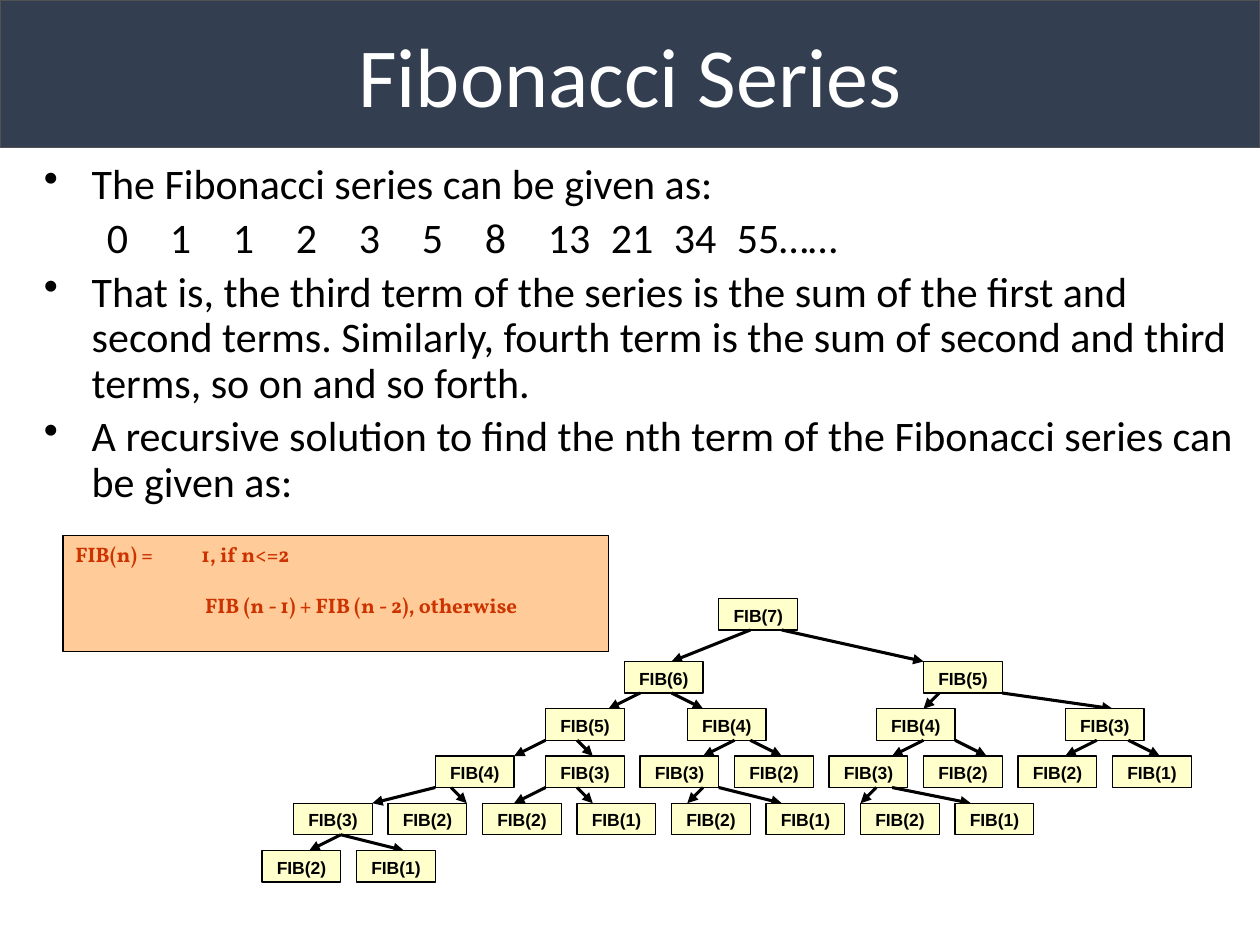
from lxml import etree
from pptx import Presentation
from pptx.dml.color import RGBColor
from pptx.enum import shapes, text
from pptx.oxml import ns
from pptx.util import Inches, Pt

NAVY = RGBColor(0x33, 0x3F, 0x50)
GRAY = RGBColor(0x52, 0x52, 0x52)
WHITE = RGBColor(0xFF, 0xFF, 0xFF)
BLACK = RGBColor(0x00, 0x00, 0x00)
PEACH = RGBColor(0xFF, 0xCC, 0x99)
RUST = RGBColor(0xCC, 0x33, 0x00)
CREAM = RGBColor(0xFF, 0xFF, 0xCC)


def add_run(paragraph, words, font_name, size, color, bold=False):
    run = paragraph.add_run()
    run.text = words
    run.font.name = font_name
    run.font.size = Pt(size)
    run.font.color.rgb = color
    run.font.bold = bold


def set_layout(paragraph, left=0, indent=0, bullet=None, tabs=()):
    properties = paragraph._p.get_or_add_pPr()
    properties.set("marL", str(Inches(left)))
    properties.set("indent", str(Inches(indent)))
    if bullet:
        etree.SubElement(properties, ns.qn("a:buChar"), char=bullet)
    else:
        etree.SubElement(properties, ns.qn("a:buNone"))
    if tabs:
        tab_list = etree.SubElement(properties, ns.qn("a:tabLst"))
        for tab in tabs:
            etree.SubElement(tab_list, ns.qn("a:tab"), pos=str(Inches(tab)), algn="l")


presentation = Presentation()
presentation.slide_width = Inches(10)
presentation.slide_height = Inches(7.5)
slide = presentation.slides.add_slide(presentation.slide_layouts[5])

# Title band
title = slide.shapes.title
title.left, title.top = Inches(0), Inches(0)
title.width, title.height = Inches(10), Inches(1.17)
title.fill.solid()
title.fill.fore_color.rgb = NAVY
title.line.color.rgb = GRAY
title.line.width = Pt(1)
title.text_frame.vertical_anchor = text.MSO_ANCHOR.MIDDLE
paragraph = title.text_frame.paragraphs[0]
paragraph.alignment = text.PP_ALIGN.CENTER
add_run(paragraph, "Fibonacci Series", "Calibri", 48, WHITE)

# Explanation, with the series set on tab stops
series = ["0", "1", "1", "2", "3", "5", "8", "13", "21", "34", "55……"]
series_tabs = [0.38, 0.7, 1.09, 1.48, 2.03, 2.43, 3.05, 3.44, 4.23, 4.94, 5.51]
lines = [
    "The Fibonacci series can be given as:",
    "\t" + "\t".join(series),
    "That is, the third term of the series is the sum of the first and second terms. "
    "Similarly, fourth term is the sum of second and third terms, so on and so forth.",
    "A recursive solution to find the nth term of the Fibonacci series can be given as:",
]
body = slide.shapes.add_textbox(Inches(0.25), Inches(1.25), Inches(9.67), Inches(2))
frame = body.text_frame
frame.word_wrap = True
for index, line in enumerate(lines):
    paragraph = frame.add_paragraph() if index else frame.paragraphs[0]
    if line.startswith("\t"):
        set_layout(paragraph, tabs=series_tabs)
    else:
        set_layout(paragraph, 0.38, -0.38, bullet="•")
    paragraph.line_spacing = 0.9
    if index:
        paragraph.space_before = Pt(4.8)
    add_run(paragraph, line, "Calibri", 24, BLACK)

# Recursive definition
formula = slide.shapes.add_shape(
    shapes.MSO_SHAPE.RECTANGLE, Inches(0.5), Inches(4.25), Inches(4.33), Inches(0.92))
formula.shadow.inherit = False
formula.fill.solid()
formula.fill.fore_color.rgb = PEACH
formula.line.color.rgb = BLACK
formula.line.width = Pt(0.75)
frame = formula.text_frame
frame.word_wrap = True
frame.vertical_anchor = text.MSO_ANCHOR.TOP
base_case = frame.paragraphs[0]
set_layout(base_case, tabs=[1.15])
add_run(base_case, "FIB(n) =\t1, if n<=2", "Vollkorn", 12, RUST, True)
recursive_case = frame.add_paragraph()
set_layout(recursive_case, left=1.03)
recursive_case.space_before = Pt(14.5)
add_run(recursive_case, "FIB (n - 1) + FIB (n - 2), otherwise", "Vollkorn", 12, RUST, True)
for paragraph in frame.paragraphs:
    paragraph.alignment = text.PP_ALIGN.LEFT

# Call tree on a grid of eighths of an inch, one list per level:
# (n, left column, arrow start column, arrow end column)
CELL = 0.125
TREE_LEFT = 2.08
NODE_WIDTH, NODE_HEIGHT = 5 * CELL, 2 * CELL
level_tops = [4.75, 5.25, 5.625, 6, 6.375, 6.75]
levels = [
    [(7, 29, None, None)],
    [(6, 23, 31, 26), (5, 42, 33, 42)],
    [(5, 18, 24, 22), (4, 27, 26, 28), (4, 39, 43, 42), (3, 51, 47, 54)],
    [(4, 11, 18, 16), (3, 18, 20, 21), (3, 24, 30, 28), (2, 30, 31, 33),
     (3, 36, 42, 40), (2, 42, 44, 46), (2, 48, 53, 51), (1, 54, 55, 57)],
    [(3, 2, 11, 7), (2, 8, 12, 13), (2, 14, 18, 16), (1, 20, 20, 21),
     (2, 26, 28, 27), (1, 32, 29, 33), (2, 38, 39, 38), (1, 44, 40, 45)],
    [(2, 0, 5, 3), (1, 6, 5, 9)],
]
tree = slide.shapes.add_group_shape()
for level, nodes in enumerate(levels):
    top = level_tops[level]
    for n, column, start, end in nodes:
        if level:
            parent_bottom = level_tops[level - 1] + NODE_HEIGHT
            arrow = tree.shapes.add_connector(
                shapes.MSO_CONNECTOR.STRAIGHT,
                Inches(TREE_LEFT + start * CELL), Inches(parent_bottom),
                Inches(TREE_LEFT + end * CELL), Inches(top))
            arrow.line.color.rgb = BLACK
            arrow.line.width = Pt(1.75)
            etree.SubElement(arrow.line._get_or_add_ln(), ns.qn("a:tailEnd"), type="triangle")
            etree.SubElement(arrow._element.spPr, ns.qn("a:effectLst"))
        node = tree.shapes.add_shape(
            shapes.MSO_SHAPE.RECTANGLE, Inches(TREE_LEFT + column * CELL), Inches(top),
            Inches(NODE_WIDTH), Inches(NODE_HEIGHT))
        node.shadow.inherit = False
        node.fill.solid()
        node.fill.fore_color.rgb = CREAM
        node.line.color.rgb = BLACK
        node.line.width = Pt(0.75)
        node.text_frame.word_wrap = False
        node.text_frame.vertical_anchor = text.MSO_ANCHOR.TOP
        paragraph = node.text_frame.paragraphs[0]
        paragraph.alignment = text.PP_ALIGN.CENTER
        add_run(paragraph, f"FIB({n})", "Arial", 10, BLACK, True)

presentation.save("out.pptx")
